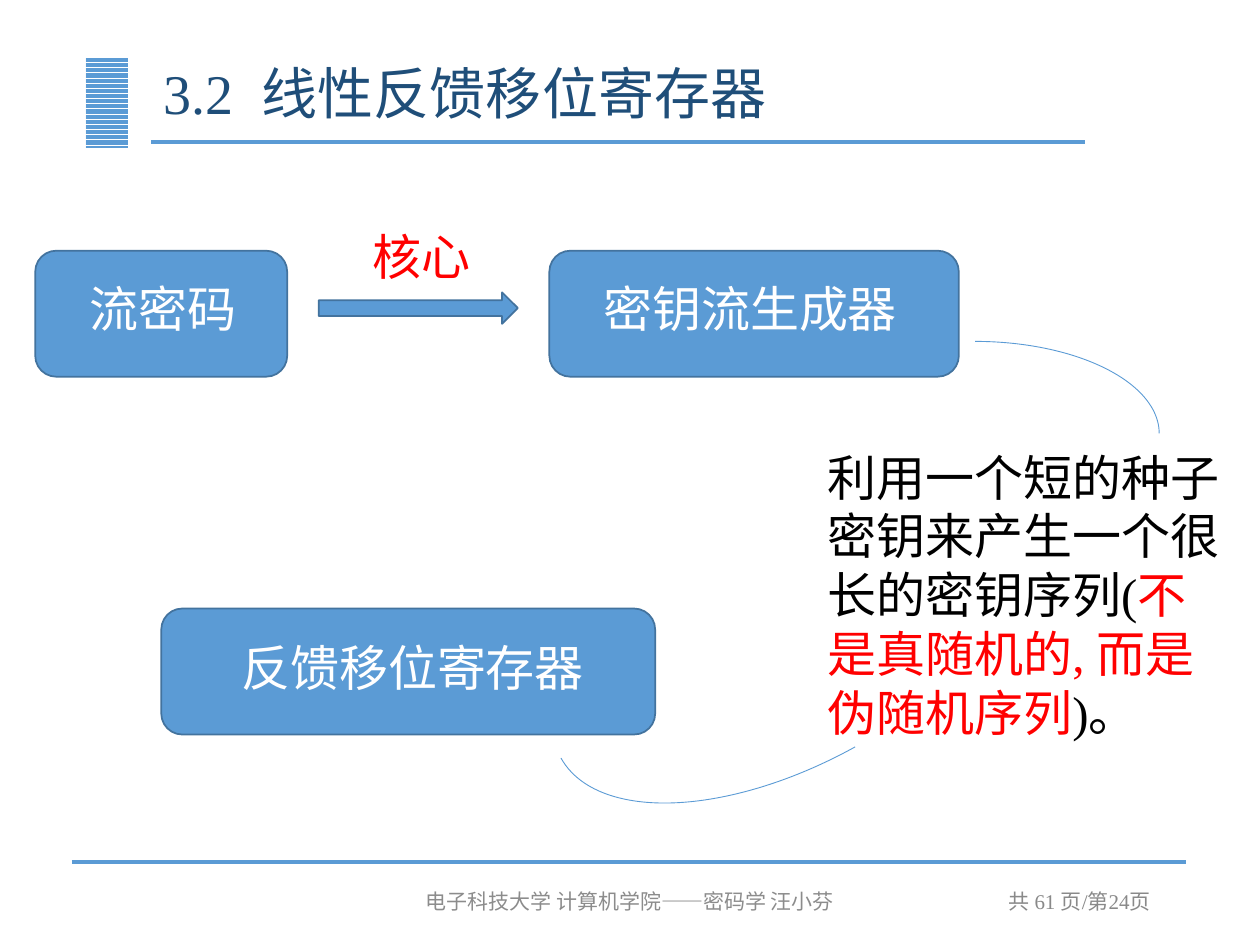
from typing import NamedTuple
from lxml.etree import SubElement
from pptx import Presentation
from pptx.dml.color import RGBColor
from pptx.enum.dml import MSO_PATTERN
from pptx.enum.shapes import MSO_CONNECTOR, MSO_SHAPE
from pptx.enum.text import MSO_ANCHOR, MSO_AUTO_SIZE, PP_ALIGN
from pptx.oxml.ns import qn
from pptx.util import Inches, Pt

BLUE = RGBColor(0x5B, 0x9B, 0xD5)
EDGE = RGBColor(0x43, 0x73, 0x9E)
NAVY = RGBColor(0x1F, 0x4E, 0x79)
WHITE = RGBColor(0xFF, 0xFF, 0xFF)
BLACK = RGBColor(0x00, 0x00, 0x00)
RED = RGBColor(0xFF, 0x00, 0x00)
GRAY = RGBColor(0x8C, 0x8C, 0x8C)
PAGE_GRAY = RGBColor(0x89, 0x89, 0x89)
SANS, SERIF = "Noto Sans CJK SC", "Times New Roman"
WIDTH, HEIGHT = Inches(10), Inches(7.5)
COLS, ROWS = 100, 75


class Box(NamedTuple):
    """A rectangle in columns and rows of the slide grid."""
    col: float
    row: float
    cols: float
    rows: float

    def inner(self, col, row, cols, rows):
        """Return a box offset from this box's top left corner."""
        return Box(self.col + col, self.row + row, cols, rows)

    def emu(self):
        """Return left, top, width and height as lengths."""
        cell_w, cell_h = WIDTH / COLS, HEIGHT / ROWS
        return (round(self.col * cell_w), round(self.row * cell_h),
                round(self.cols * cell_w), round(self.rows * cell_h))


def write(sp, runs, size, align=PP_ALIGN.LEFT, wrap=True, anchor=MSO_ANCHOR.TOP,
          auto_size=MSO_AUTO_SIZE.NONE):
    """Fill a shape with one paragraph of (text, font, colour) runs."""
    tf = sp.text_frame
    frame = {"word_wrap": wrap, "vertical_anchor": anchor, "auto_size": auto_size}
    for name, value in frame.items():
        setattr(tf, name, value)
    p = tf.paragraphs[0]
    p.alignment = align
    for text, font, color in runs:
        r = p.add_run()
        r.text = text
        for name, value in {"name": font, "size": Pt(size), "bold": False}.items():
            setattr(r.font, name, value)
        r.font.color.rgb = color
        SubElement(r.font._element, qn("a:ea")).set("typeface", SANS)
    return p


def add_text(shapes, box, runs, size=28, **frame):
    """Add a text box with the given runs."""
    return write(shapes.add_textbox(*box.emu()), runs, size, **frame)


def add_rule(shapes, box):
    """Draw a thick horizontal rule along the top of the box."""
    x, y, w, _ = box.emu()
    line = shapes.add_connector(MSO_CONNECTOR.STRAIGHT, x, y, x + w, y)
    line.line.color.rgb, line.line.width = BLUE, Pt(2.25)
    SubElement(line._element.spPr, qn("a:effectLst"))


def add_block(shapes, kind, box):
    """Add a filled and outlined preset shape."""
    sp = shapes.add_shape(kind, *box.emu())
    sp.shadow.inherit = False
    sp.fill.solid()
    sp.fill.fore_color.rgb = BLUE
    sp.line.color.rgb, sp.line.width = EDGE, Pt(1)


def add_arc(shapes, box, rotation=0):
    """Add a thin quarter arc."""
    sp = shapes.add_shape(MSO_SHAPE.ARC, *box.emu())
    sp.shadow.inherit = False
    sp.fill.background()
    sp.line.color.rgb, sp.line.width = BLUE, Pt(0.5)
    sp.rotation = rotation


def add_header(s, box):
    """Place the striped mark, the title and its rule."""
    mark = s.shapes.add_shape(MSO_SHAPE.RECTANGLE, *box.inner(0, 0.5, 3.4, 7.2).emu())
    mark.shadow.inherit = False
    mark.fill.patterned()
    mark.fill.pattern = MSO_PATTERN.DARK_HORIZONTAL
    mark.fill.fore_color.rgb, mark.fill.back_color.rgb = BLUE, WHITE
    mark.line.fill.background()
    add_rule(s.shapes, box.inner(5.2, 7.3, 74.1, 0))
    title = s.shapes.title
    place = zip(("left", "top", "width", "height"), box.inner(5.2, 0, 74.1, 7.3).emu())
    for name, value in place:
        setattr(title, name, value)
    p = write(title, [("3.2  线性反馈移位寄存器", SERIF, NAVY)], 32,
              anchor=MSO_ANCHOR.MIDDLE)
    p.line_spacing = 0.9


def add_flow(s, box):
    """Place the two linked cards and the label over their arrow."""
    shapes = s.shapes.add_group_shape().shapes
    cards = [("流密码", 0, 20, 15), ("密钥流生成器", 40.8, 32.5, 26.7)]
    for text, col, cols, text_cols in cards:
        add_block(shapes, MSO_SHAPE.ROUNDED_RECTANGLE, box.inner(col, 2.4, cols, 10))
        add_text(shapes, box.inner(col + 3.3, 4.1, text_cols, 5.7),
                 [(text, SANS, WHITE)], wrap=False)
    add_block(shapes, MSO_SHAPE.RIGHT_ARROW, box.inner(22.5, 5.7, 15.8, 2.5))
    add_text(shapes, box.inner(25.8, 0, 10, 5.7), [("核心", SANS, RED)], wrap=False)


def add_explanation(s, box):
    """Place the note on the key sequence and the arc leading to it."""
    runs = [("利用一个短的种子密钥来产生一个很长的密钥序列(", SERIF, BLACK),
            ("不是真随机的, 而是伪随机序列", SERIF, RED),
            (")", SERIF, BLACK), ("。", SANS, BLACK)]
    add_text(s.shapes, box.inner(1.9, 7.9, 33.9, 28.6), runs)
    add_arc(s.shapes, box.inner(0, 0, 29.2, 14.6))


def add_register(s, box):
    """Place the register card and the arc joining it to the note."""
    shapes = s.shapes.add_group_shape().shapes
    add_block(shapes, MSO_SHAPE.ROUNDED_RECTANGLE, box.inner(0, 8.8, 39.2, 10))
    add_text(shapes, box.inner(0.8, 10.6, 38.3, 5.7),
             [("反馈移位寄存器", SANS, WHITE)], align=PP_ALIGN.CENTER)
    add_arc(s.shapes, box.inner(29.1, 0, 41.7, 21.1), 151)


def add_footer(s, box):
    """Place the bottom rule, the course line and the page count."""
    add_rule(s.shapes, box.inner(0, 0, 88.4, 0))
    notes = [("电子科技大学 计算机学院——密码学 汪小芬", SANS, GRAY, 26.4, 35.8, PP_ALIGN.CENTER),
             ("共 61 页/第24页", SERIF, PAGE_GRAY, 64.1, 22.5, PP_ALIGN.RIGHT)]
    for text, font, color, col, cols, align in notes:
        add_text(s.shapes, box.inner(col, 1.1, cols, 4), [(text, font, color)],
                 size=12, align=align, anchor=MSO_ANCHOR.MIDDLE)


def main():
    """Build the slide and save it."""
    prs = Presentation()
    prs.slide_width, prs.slide_height = WIDTH, HEIGHT
    s = prs.slides.add_slide(prs.slide_layouts[5])
    add_header(s, Box(6.8, 4, 79.3, 7.7))
    add_flow(s, Box(2.8, 17.5, 73.3, 12.4))
    add_explanation(s, Box(62.8, 27.1, 35.8, 36.5))
    add_register(s, Box(12.8, 39.5, 70.8, 21.1))
    add_footer(s, Box(5.7, 68.4, 88.4, 5.1))
    prs.save("out.pptx")


if __name__ == "__main__":
    main()
